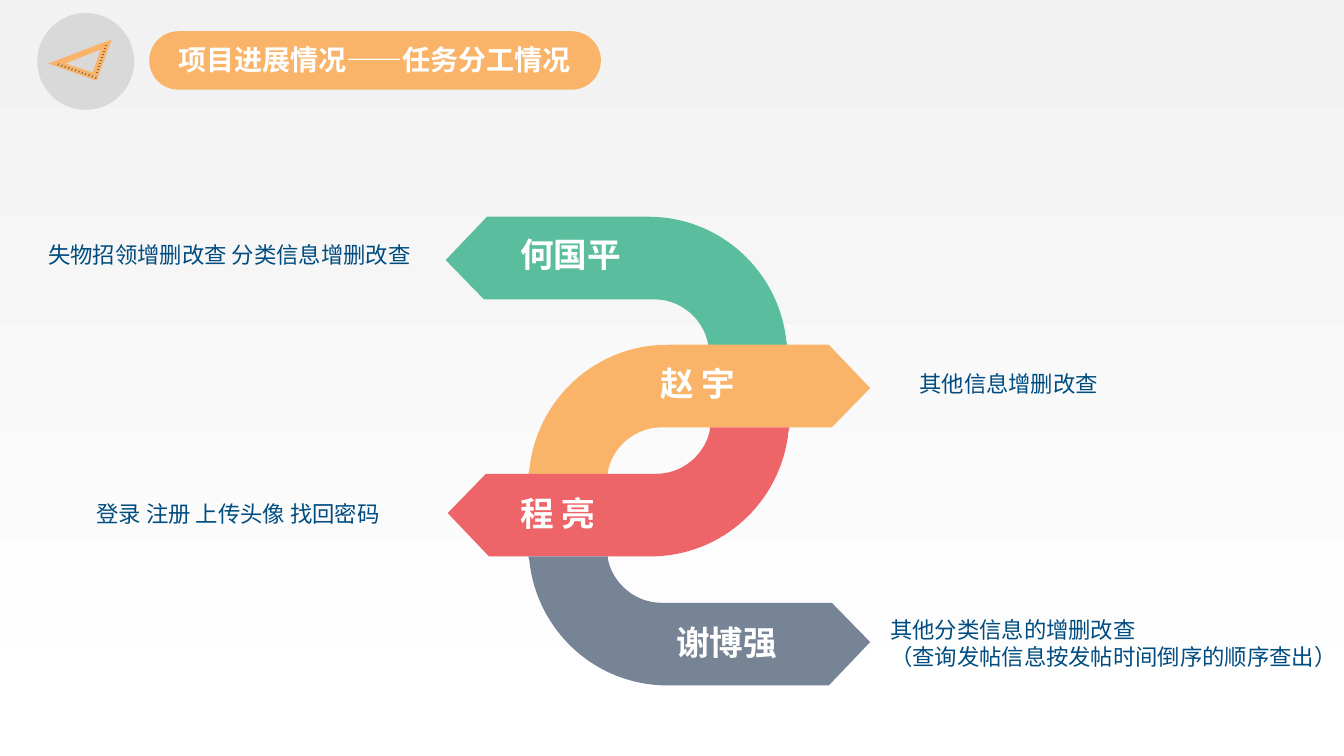
from dataclasses import dataclass

from lxml.etree import SubElement
from pptx import Presentation
from pptx.dml.color import RGBColor
from pptx.enum.shapes import MSO_SHAPE
from pptx.enum.text import MSO_ANCHOR, MSO_AUTO_SIZE, PP_ALIGN
from pptx.oxml.ns import qn
from pptx.util import Inches, Pt

Point = tuple[float, float]
Box = tuple[float, float, float, float]


@dataclass(frozen=True)
class Theme:
    font: str = "Noto Sans CJK SC"
    title_size: int = 20
    name_size: int = 24
    task_size: int = 16
    white: str = "FFFFFF"
    page_top: str = "F2F2F2"
    disc: str = "D9D9D9"
    green: str = "5ABE9E"
    orange: str = "F9B46A"
    red: str = "ED6568"
    slate: str = "778495"
    tick: str = "716558"
    task: str = "004C80"


@dataclass(frozen=True)
class Member:
    name: str
    name_box: Box
    color: str
    left: float
    top: float
    points_left: bool
    flipped: bool
    tasks: tuple[str, ...]
    task_box: Box


@dataclass(frozen=True)
class Scale:
    """A row of ruler ticks: first and last position, count, tick outline."""
    first: Point
    last: Point
    count: int
    outline: tuple[Point, ...]


THEME = Theme()
RIBBON_WIDTH, RIBBON_HEIGHT = 3.39, 1.28

MEMBERS = (
    Member("何国平", (5.06, 2.27, 1.2, 0.5), THEME.green, 4.42, 2.15, True, False,
           ("失物招领增删改查 分类信息增删改查",), (0.38, 2.34, 3.89, 0.37)),
    Member("赵 宇", (6.45, 3.55, 1.21, 0.5), THEME.orange, 5.24, 3.42, False, False,
           ("其他信息增删改查",), (9.02, 3.62, 1.98, 0.37)),
    Member("程 亮", (5.06, 4.84, 1.21, 0.5), THEME.red, 4.44, 4.24, True, True,
           ("登录 注册 上传头像 找回密码",), (0.86, 4.91, 3.26, 0.37)),
    Member("谢博强", (6.61, 6.12, 1.2, 0.5), THEME.slate, 5.24, 5.52, False, True,
           ("其他分类信息的增删改查", "（查询发帖信息按发帖时间倒序的顺序查出）"),
           (8.73, 6.06, 4.64, 0.64)),
)

SET_SQUARE = (
    ((0.48, 0.63), (0.96, 0.8), (1.11, 0.39)),
    ((0.92, 0.72), (0.65, 0.63), (1.0, 0.49)),
)
SCALES = (
    Scale((0.57, 0.63), (0.94, 0.76), 12,
          ((0.01, 0.02), (0, 0.02), (0.01, 0), (0.02, 0))),
    Scale((1.04, 0.45), (0.95, 0.71), 10,
          ((0.02, 0.01), (0, 0.01), (0, 0), (0.02, 0))),
)


def curve(p0: Point, p1: Point, p2: Point, p3: Point, steps: int = 32) -> list[Point]:
    """Points along a cubic curve."""
    points = []
    for step in range(steps + 1):
        t = step / steps
        weights = ((1 - t) ** 3, 3 * t * (1 - t) ** 2, 3 * t * t * (1 - t), t ** 3)
        points.append(tuple(sum(w * p[axis] for w, p in zip(weights, (p0, p1, p2, p3)))
                            for axis in (0, 1)))
    return points


def ribbon_outline(member: Member) -> list[Point]:
    """A bent ribbon with its arrow to the right, mirrored as the member needs."""
    outline = [
        (2.98, 0),
        *curve((1.38, 0), (0.66, 0), (0.08, 0.55), (0.01, 1.24)),
        (0, RIBBON_HEIGHT), (0.79, RIBBON_HEIGHT),
        *curve((0.79, 1.25), (0.84, 1.01), (1.06, 0.82), (1.32, 0.82)),
        (3.01, 0.82), (RIBBON_WIDTH, 0.43),
    ]
    return [(member.left + (RIBBON_WIDTH - x if member.points_left else x),
             member.top + (RIBBON_HEIGHT - y if member.flipped else y))
            for x, y in outline]


def paint(shape, color: str) -> None:
    shape.shadow.inherit = False
    shape.fill.solid()
    shape.fill.fore_color.rgb = RGBColor.from_string(color)
    shape.line.fill.background()


def draw_outline(shapes, contours, color: str) -> None:
    rings = [[(Inches(x), Inches(y)) for x, y in contour] for contour in contours]
    builder = shapes.build_freeform(*rings[0][0], scale=1.0)
    builder.add_line_segments(rings[0][1:], close=True)
    for ring in rings[1:]:
        builder.move_to(*ring[0])
        builder.add_line_segments(ring[1:], close=True)
    paint(builder.convert_to_shape(), color)


def write(shape, lines: tuple[str, ...], size: int, color: str, bold: bool = False,
          align: PP_ALIGN = PP_ALIGN.LEFT, wrap: bool = False) -> None:
    frame = shape.text_frame
    frame_format = {"word_wrap": wrap, "vertical_anchor": MSO_ANCHOR.TOP,
                    "auto_size": MSO_AUTO_SIZE.SHAPE_TO_FIT_TEXT}
    font_format = {"name": THEME.font, "size": Pt(size), "bold": bold}
    for key, value in frame_format.items():
        setattr(frame, key, value)
    for index, line in enumerate(lines):
        paragraph = frame.add_paragraph() if index else frame.paragraphs[0]
        paragraph.alignment = align
        run = paragraph.add_run()
        run.text = line
        for key, value in font_format.items():
            setattr(run.font, key, value)
        run.font.color.rgb = RGBColor.from_string(color)
        east_asian = SubElement(run.font._element, qn("a:ea"))
        east_asian.set("typeface", THEME.font)


def draw_background(slide) -> None:
    fill = slide.background.fill
    fill.gradient()
    fill.gradient_angle = 270
    for stop, color in zip(fill.gradient_stops, (THEME.page_top, THEME.white)):
        stop.color.rgb = RGBColor.from_string(color)


def draw_header(slide) -> None:
    header = slide.shapes.add_group_shape()
    disc = header.shapes.add_shape(MSO_SHAPE.OVAL, *map(Inches, (0.37, 0.13, 0.96, 0.96)))
    paint(disc, THEME.disc)
    banner = header.shapes.add_shape(MSO_SHAPE.ROUNDED_RECTANGLE,
                                     *map(Inches, (1.48, 0.31, 4.48, 0.58)))
    banner.adjustments[0] = 0.5
    paint(banner, THEME.orange)

    # Set square with its two rows of ticks
    draw_outline(header.shapes, SET_SQUARE, THEME.orange)
    for scale in SCALES:
        for index in range(scale.count):
            x, y = (start + (end - start) * index / (scale.count - 1)
                    for start, end in zip(scale.first, scale.last))
            tick = [(x + dx, y + dy) for dx, dy in scale.outline]
            draw_outline(header.shapes, [tick], THEME.tick)

    # Title, placed above the banner
    title = slide.shapes.title
    title_place = dict(zip(("left", "top", "width", "height"), (1.65, 0.37, 4.13, 0.44)))
    for key, value in title_place.items():
        setattr(title, key, Inches(value))
    write(title, ("项目进展情况——任务分工情况",), THEME.title_size, THEME.white,
          bold=True, align=PP_ALIGN.CENTER)
    header._element.addnext(title._element)


def draw_member(slide, member: Member) -> None:
    ribbon = slide.shapes.add_group_shape()
    draw_outline(ribbon.shapes, [ribbon_outline(member)], member.color)
    name = ribbon.shapes.add_textbox(*map(Inches, member.name_box))
    write(name, (member.name,), THEME.name_size, THEME.white, bold=True)
    tasks = slide.shapes.add_textbox(*map(Inches, member.task_box))
    write(tasks, member.tasks, THEME.task_size, THEME.task)


def main() -> None:
    presentation = Presentation()
    presentation.slide_width, presentation.slide_height = Inches(13.33), Inches(7.5)
    slide = presentation.slides.add_slide(presentation.slide_layouts[5])
    draw_background(slide)
    draw_header(slide)
    for member in MEMBERS:
        draw_member(slide, member)
    presentation.save("out.pptx")


if __name__ == "__main__":
    main()
